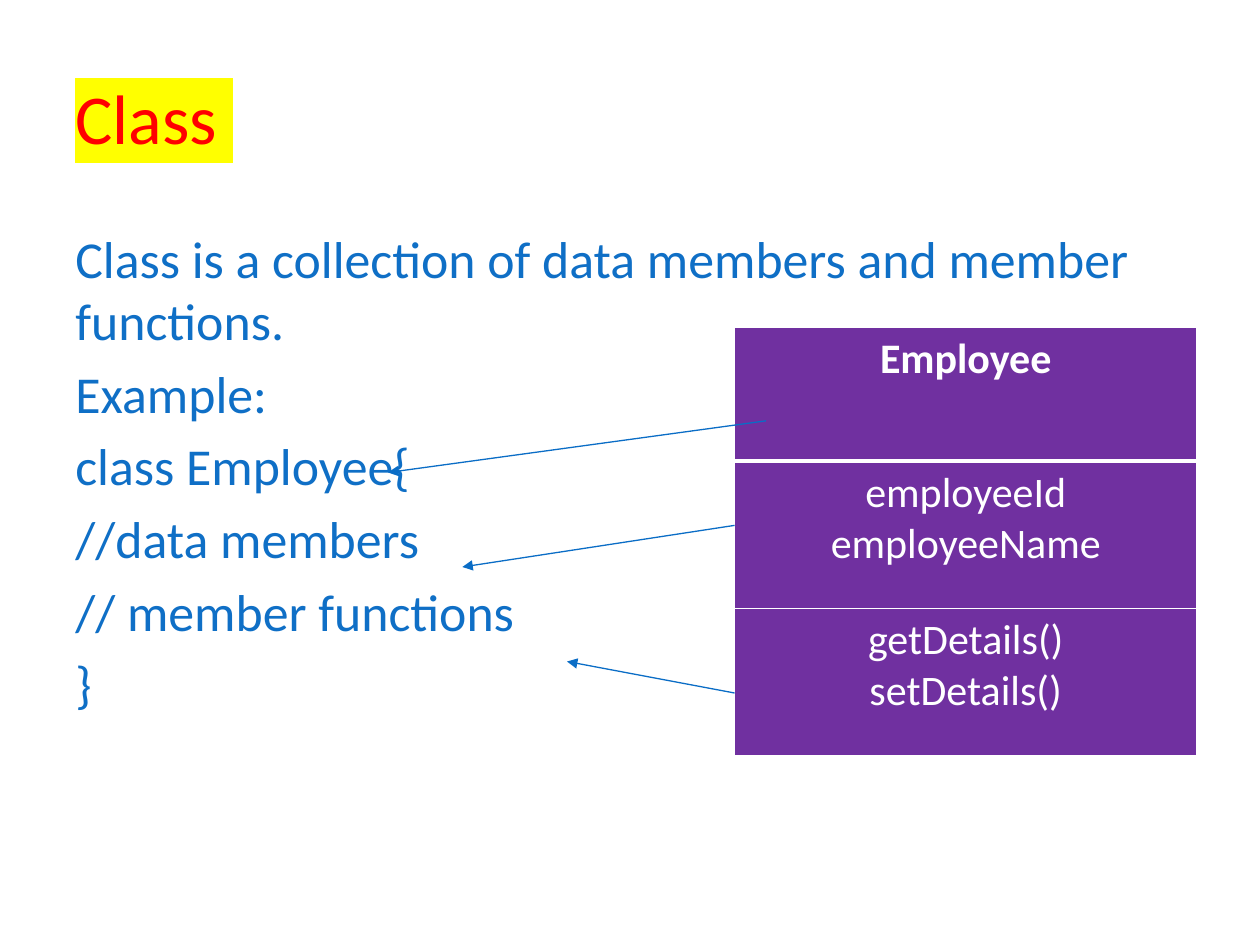
from lxml import etree
from pptx import Presentation
from pptx.dml.color import RGBColor
from pptx.enum import shapes, text
from pptx.oxml import ns
from pptx.util import Inches, Pt

COLORS = {
    "title": "FF0000",
    "highlight": "FFFF00",
    "body": "0F6FC6",
    "cell": "7030A0",
    "white": "FFFFFF",
    "arrow": "0A6DC6",
}


def style_paragraph(paragraph, size, color, bold=False):
    for run in paragraph.runs:
        run.font.size = Pt(size)
        run.font.bold = bold
        run.font.color.rgb = RGBColor.from_string(COLORS[color])
        run.font.name = "Calibri"


def add_border(cell, side, width):
    properties = cell._tc.get_or_add_tcPr()
    line = etree.SubElement(properties, ns.qn(f"a:ln{side}"), w=str(Pt(width)))
    fill = etree.SubElement(line, ns.qn("a:solidFill"))
    etree.SubElement(fill, ns.qn("a:srgbClr"), val=COLORS["white"])


presentation = Presentation()
presentation.slide_width = Inches(10)
presentation.slide_height = Inches(7.5)
slide = presentation.slides.add_slide(presentation.slide_layouts[6])

title = slide.shapes.add_textbox(Inches(0.5), Inches(0.3), Inches(9), Inches(1.25))
title.text_frame.word_wrap = True
title.text_frame.vertical_anchor = text.MSO_ANCHOR.MIDDLE
title.text_frame.text = "Class "
paragraph = title.text_frame.paragraphs[0]
style_paragraph(paragraph, 40, "title")
run_properties = paragraph.runs[0].font._element
highlight = etree.Element(ns.qn("a:highlight"))
etree.SubElement(highlight, ns.qn("a:srgbClr"), val=COLORS["highlight"])
run_properties.find(ns.qn("a:solidFill")).addnext(highlight)

body = slide.shapes.add_textbox(Inches(0.5), Inches(1.75), Inches(9), Inches(3.83))
body.text_frame.word_wrap = True
body.text_frame.text = "\n".join([
    "Class is a collection of data members and member functions.",
    "Example:",
    "class Employee{",
    "//data members",
    "// member functions",
    "}",
])
for paragraph in body.text_frame.paragraphs:
    paragraph.space_before = Pt(6)
    style_paragraph(paragraph, 29.6, "body")

rows = [
    ("Employee", 1.06, 1, 3),
    ("employeeId\nemployeeName", 1.17, 3, 1),
    ("getDetails()\nsetDetails()", 1.17, 1, 1),
]
table = slide.shapes.add_table(
    len(rows), 1, Inches(5.83), Inches(2.6), Inches(3.67), Inches(3.4)
).table
for index, (content, height, top, bottom) in enumerate(rows):
    table.rows[index].height = Inches(height)
    cell = table.cell(index, 0)
    for side, width in (("L", 1), ("R", 1), ("T", top), ("B", bottom)):
        add_border(cell, side, width)
    cell.fill.solid()
    cell.fill.fore_color.rgb = RGBColor.from_string(COLORS["cell"])
    cell.text_frame.text = content
    for paragraph in cell.text_frame.paragraphs:
        paragraph.alignment = text.PP_ALIGN.CENTER
        style_paragraph(paragraph, 24, "white", bold=index == 0)

arrows = [
    (6.08, 3.34, 3.08, 3.75),
    (5.83, 4.17, 3.67, 4.5),
    (5.83, 5.5, 4.5, 5.25),
]
for ends in arrows:
    arrow = slide.shapes.add_connector(
        shapes.MSO_CONNECTOR.STRAIGHT, *[Inches(value) for value in ends]
    )
    arrow.line.width = Pt(0.75)
    arrow.line.color.rgb = RGBColor.from_string(COLORS["arrow"])
    etree.SubElement(arrow.line._get_or_add_ln(), ns.qn("a:tailEnd"), type="triangle")
    etree.SubElement(arrow._element.spPr, ns.qn("a:effectLst"))

presentation.save("out.pptx")
